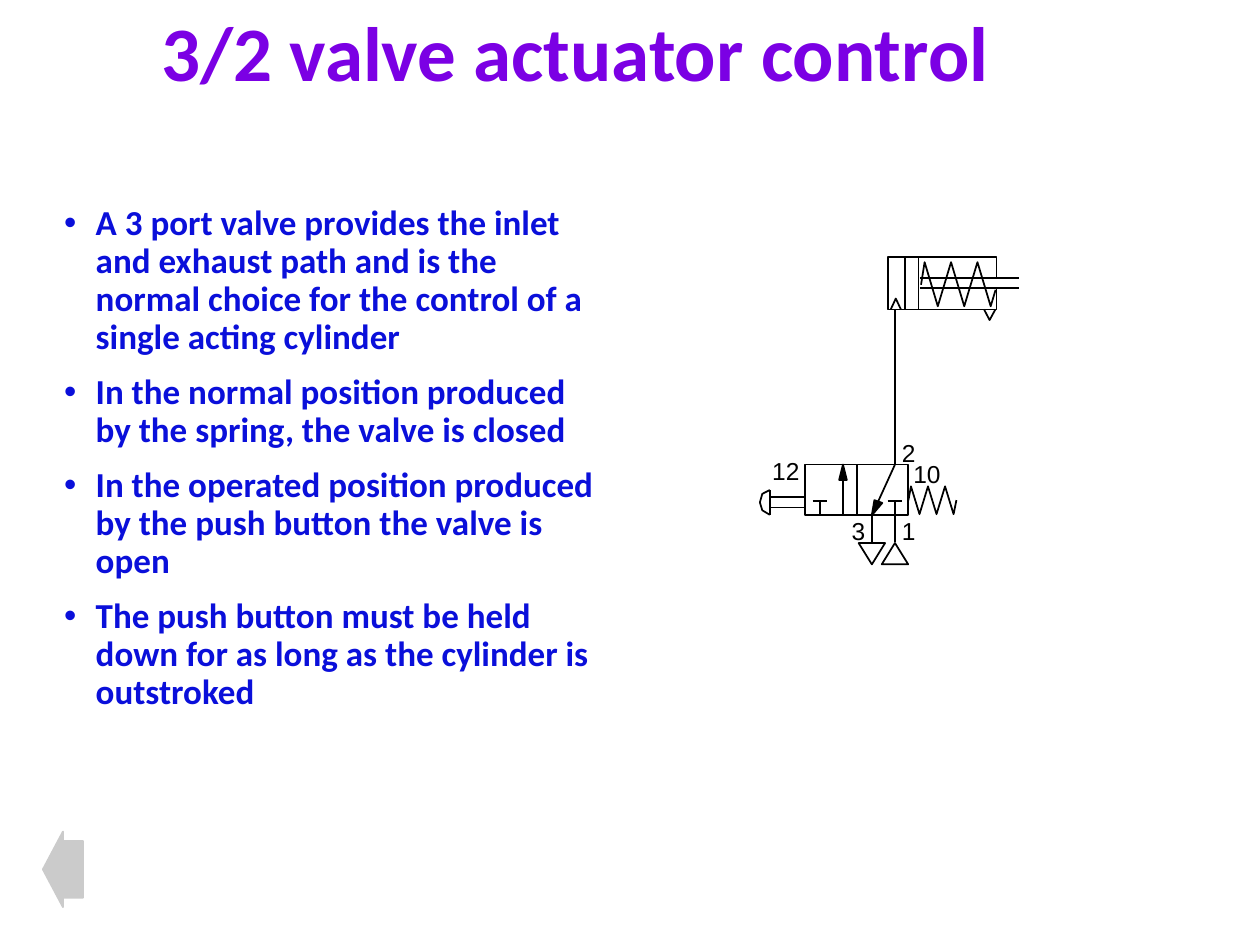
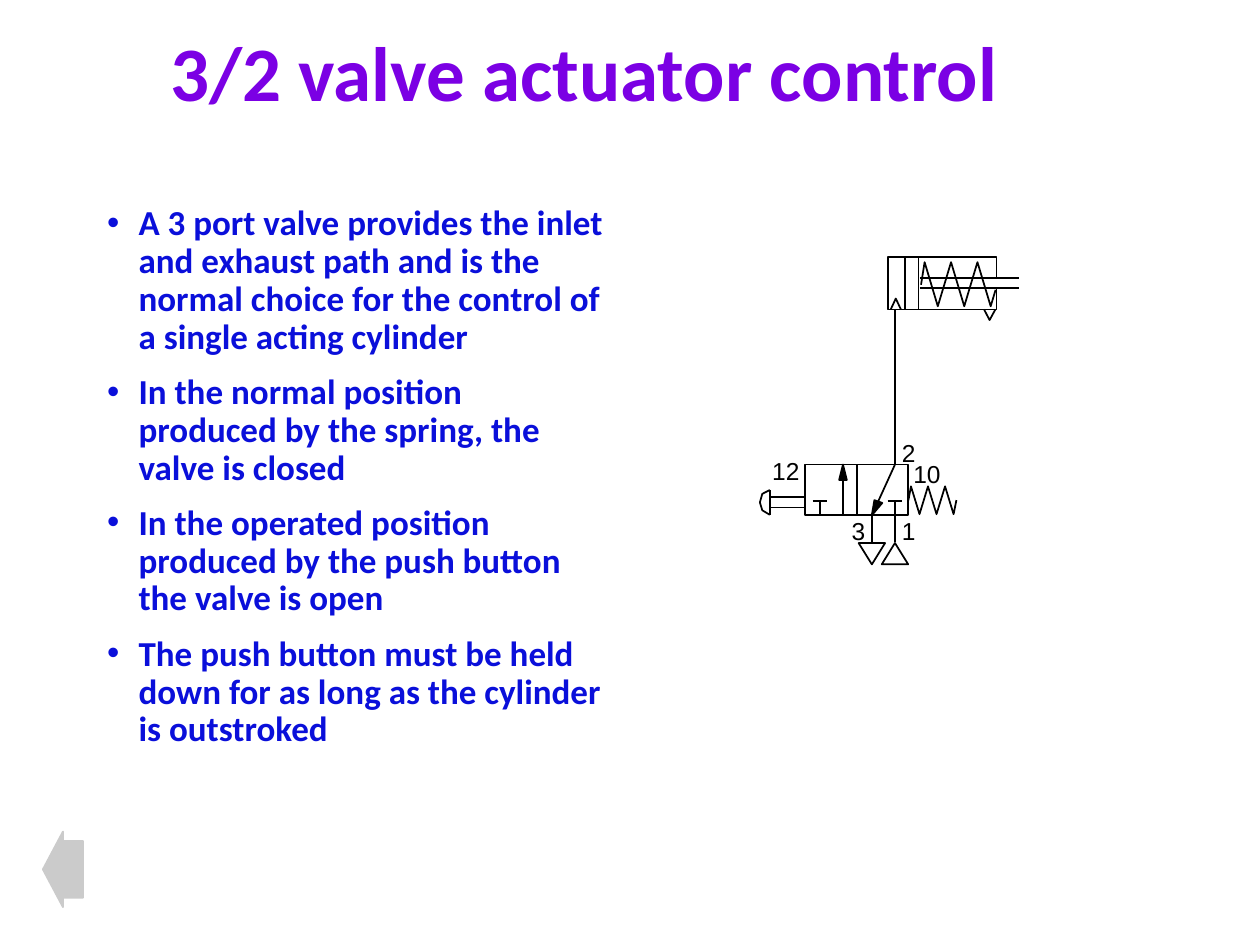
"""Build two slides on controlling a single acting cylinder with a 3/2 valve."""
from lxml import etree
from pptx import Presentation, util as u
from pptx.dml.color import RGBColor
from pptx.enum import shapes, text
from pptx.oxml.ns import qn

Pt = u.Pt
PURPLE, BLUE, BLACK, GREY = "7B00E4", "0A0FDA", "000000", "CBCBCB"

HEADING = "3/2 valve actuator control"
POINTS = [
    "A 3 port valve provides the inlet and exhaust path and is the normal choice "
    "for the control of a single acting cylinder",
    "In the normal position produced by the spring, the valve is closed",
    "In the operated position produced by the push button the valve is open",
    "The push button must be held down for as long as the cylinder is outstroked",
]
SLIDES = [
    {"heading": (85, 2.9, 537.8, 58.3), "points": (29.5, 113.8, 324.7, 354.2)},
    {"heading": (90, 14.4, 537.8, 58.3), "points": (54, 113.8, 300.2, 354.2)},
]
PORT_LABELS = [("1", 508.3, 291.6), ("2", 508.3, 247), ("3", 479.5, 291.6),
               ("12", 434.2, 257), ("10", 514.8, 258.5)]

BORE_LEFT, BORE_TOP, BORE_RIGHT, BORE_BOTTOM = 507.6, 146.9, 569.5, 176.8
ROD_TOP, ROD_BOTTOM = 159, 164.7
VALVE_LEFT, VALVE_TOP, VALVE_WIDTH, VALVE_HEIGHT = 460.1, 265.5, 59, 29
VALVE_BOTTOM = VALVE_TOP + VALVE_HEIGHT
VALVE_MIDDLE = VALVE_LEFT + VALVE_WIDTH / 2
SUPPLY, EXHAUST, OPEN_WAY, BLOCKED = 511.4, 498.2, 481.7, 468.5
STOP, STOP_HALF = 286.4, 4.2
VENT_TOP, VENT_WIDTH, VENT_HEIGHT = 310.3, 15.1, 12.2
BUTTON, BUTTON_TOP, BUTTON_BOTTOM = 439.9, 280, 294.2

CYLINDER_LINES = [(525.6, y, 582.5, y) for y in (ROD_TOP, ROD_BOTTOM)] + [
    (x, BORE_TOP, x, BORE_BOTTOM) for x in (524.9, 517)]
PIPE_LINES = [(SUPPLY, BORE_BOTTOM, SUPPLY, VALVE_TOP)] + [
    (x, VALVE_BOTTOM, x, 309.6) for x in (SUPPLY, EXHAUST)]
STOP_LINES = [line for x in (SUPPLY, BLOCKED) for line in (
    (x, STOP, x, VALVE_BOTTOM), (x - STOP_HALF, STOP, x + STOP_HALF, STOP))]
FLOW_LINES = [(VALVE_MIDDLE, VALVE_TOP, VALVE_MIDDLE, VALVE_BOTTOM),
              (SUPPLY, VALVE_TOP, EXHAUST, VALVE_BOTTOM),
              (OPEN_WAY, VALVE_BOTTOM, OPEN_WAY, VALVE_TOP)]
BUTTON_LINES = [(BUTTON, BUTTON_TOP, BUTTON, BUTTON_BOTTOM)] + [
    (440.6, y, 459.4, y) for y in (284.2, 290)]

BORE = [(BORE_RIGHT, ROD_TOP), (BORE_RIGHT, BORE_TOP), (BORE_LEFT, BORE_TOP),
        (BORE_LEFT, BORE_BOTTOM), (BORE_RIGHT, BORE_BOTTOM), (BORE_RIGHT, ROD_BOTTOM)]
INLET = [(509, BORE_BOTTOM), (511.9, 170.6), (514.8, BORE_BOTTOM)]
BREATHER = [(562.3, BORE_BOTTOM), (565.5, 182.9), (568.8, BORE_BOTTOM)]
BUTTON_CAP = [(BUTTON, BUTTON_TOP), (435.6, 282.2), (434.2, 287.1),
              (435.6, 291.6), (BUTTON, BUTTON_BOTTOM)]
ARROW_TIPS = [[(OPEN_WAY, VALVE_TOP), (479.5, 274.3), (483.9, 274.3)],
              [(EXHAUST, VALVE_BOTTOM), (499.7, 285.8), (504.2, 287.4)]]


def spring(start, end, first, step, top, bottom):
    """Return the zigzag of a spring with six turns, from right to left."""
    turns = [(first - step * i, top if i % 2 else bottom) for i in range(6)]
    return [start, *turns, end]


def colour(code):
    """Turn a hex string into a colour."""
    return RGBColor.from_string(code)


def place(part, left, top, width, height):
    """Move and size a part in points."""
    part.left, part.top, part.width, part.height = map(Pt, (left, top, width, height))


def write(paragraph, words, size, font, ink=BLACK, bold=False, spacing=None,
          before=0, bullet=None):
    """Fill a paragraph with formatted words."""
    paragraph.text = words
    paragraph.alignment = text.PP_ALIGN.LEFT
    if bullet:
        props = paragraph._p.get_or_add_pPr()
        props.set("marL", str(Pt(18)))
        props.set("indent", str(-Pt(18)))
        tint = etree.SubElement(props, qn("a:buClr"))
        etree.SubElement(tint, qn("a:srgbClr"), val=ink)
        etree.SubElement(props, qn("a:buFont"), typeface="Arial")
        etree.SubElement(props, qn("a:buChar"), char=bullet)
    paragraph.space_before = Pt(before)
    if spacing:
        paragraph.line_spacing = spacing
    face = paragraph.font
    face.size, face.name, face.bold = Pt(size), font, bold
    face.color.rgb = colour(ink)


def paint(part, fill=None, line=BLACK):
    """Give a shape its fill and a one point outline."""
    part.shadow.inherit = False
    if fill:
        part.fill.solid()
        part.fill.fore_color.rgb = colour(fill)
    else:
        part.fill.background()
    part.line.color.rgb = colour(line)
    part.line.width = Pt(1)


def preset(slide, kind, box, **paints):
    """Add a preset shape."""
    part = slide.shapes.add_shape(kind, *map(Pt, box))
    paint(part, **paints)
    return part


def lines(slide, ends):
    """Add straight black lines."""
    for end in ends:
        link = slide.shapes.add_connector(shapes.MSO_CONNECTOR.STRAIGHT, *map(Pt, end))
        link.line.color.rgb = colour(BLACK)
        link.line.width = Pt(1)
        etree.SubElement(link._element.spPr, qn("a:effectLst"))


def outline(slide, corners, fill=None):
    """Add a freeform, closed when it is filled."""
    first, *rest = [(Pt(x), Pt(y)) for x, y in corners]
    builder = slide.shapes.build_freeform(*first, scale=1.0)
    builder.add_line_segments(rest, close=bool(fill))
    paint(builder.convert_to_shape(), fill)


def draw_circuit(slide):
    """Draw the cylinder, the valve and its port numbers."""
    lines(slide, CYLINDER_LINES)
    cylinder_spring = spring((568.9, 165.6), (526.3, 162.7), 566.1, 7.55, 149.8, 175)
    for corners in (BORE, cylinder_spring, INLET, BREATHER):
        outline(slide, corners)
    lines(slide, PIPE_LINES + STOP_LINES)
    for tip in ARROW_TIPS:
        outline(slide, tip, BLACK)
    preset(slide, shapes.MSO_SHAPE.RECTANGLE,
           (VALVE_LEFT, VALVE_TOP, VALVE_WIDTH, VALVE_HEIGHT))
    lines(slide, FLOW_LINES)
    for number, left, top in PORT_LABELS:
        label = slide.shapes.add_textbox(
            *map(Pt, (left, top, 14.4 + 7.8 * len(number), 23.8))).text_frame
        label.word_wrap = False
        label.auto_size = text.MSO_AUTO_SIZE.SHAPE_TO_FIT_TEXT
        write(label.paragraphs[0], number, 14, "Arial")
    for port, turn in ((SUPPLY, 0), (EXHAUST, 180)):
        vent = preset(slide, shapes.MSO_SHAPE.ISOSCELES_TRIANGLE,
                      (port - VENT_WIDTH / 2, VENT_TOP, VENT_WIDTH, VENT_HEIGHT))
        vent.rotation = turn
    outline(slide, spring((546.5, 285.8), (519.1, 285.8), 544.9, 4.87, 277.9, 293.8))
    lines(slide, BUTTON_LINES)
    outline(slide, BUTTON_CAP)


def build_slide(deck, heading, points):
    """Add one slide with its heading, points, circuit and back arrow."""
    slide = deck.slides.add_slide(deck.slide_layouts[1])
    title, body = slide.shapes.title, slide.placeholders[1]
    for part, box, anchor in ((title, heading, text.MSO_ANCHOR.MIDDLE),
                              (body, points, text.MSO_ANCHOR.TOP)):
        place(part, *box)
        part.text_frame.auto_size = text.MSO_AUTO_SIZE.NONE
        part.text_frame.word_wrap = True
        part.text_frame.vertical_anchor = anchor
    write(title.text_frame.paragraphs[0], HEADING, 44, "Calibri", PURPLE, True, 0.9)
    for i, point in enumerate(POINTS):
        frame = body.text_frame
        paragraph = frame.add_paragraph() if i else frame.paragraphs[0]
        write(paragraph, point, 20, "Calibri", BLUE, True, 0.9,
              before=10 if i else 0, bullet="•")
    draw_circuit(slide)
    back = preset(slide, shapes.MSO_SHAPE.LEFT_ARROW, (24.5, 475.2, 23, 43.2),
                  fill=GREY, line=GREY)
    back.adjustments[0], back.adjustments[1] = 0.75, 0.5


def main():
    """Build and save the presentation."""
    deck = Presentation()
    deck.slide_width, deck.slide_height = Pt(720), Pt(540)
    for boxes in SLIDES:
        build_slide(deck, **boxes)
    deck.save("out.pptx")


if __name__ == "__main__":
    main()
